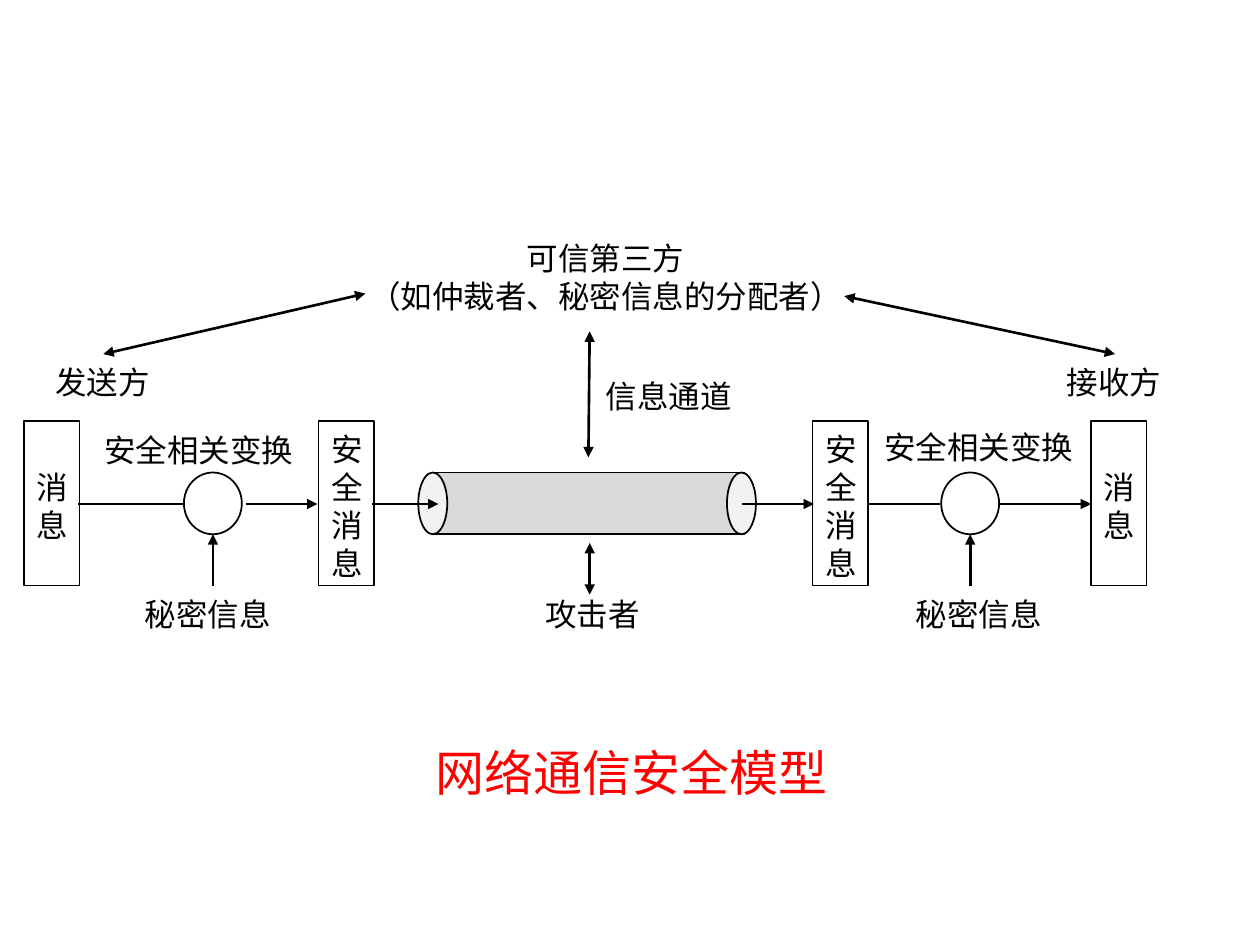
from lxml.etree import SubElement
from pptx import Presentation
from pptx.dml.color import RGBColor
from pptx.enum.shapes import MSO_CONNECTOR, MSO_SHAPE
from pptx.enum.text import MSO_ANCHOR, PP_ALIGN
from pptx.oxml.ns import qn
from pptx.util import Inches, Pt

BLACK = RGBColor(0x00, 0x00, 0x00)
RED = RGBColor(0xFF, 0x00, 0x00)
PIPE_GRAY = RGBColor(0xD9, 0xD9, 0xD9)
PIPE_END_GRAY = RGBColor(0xF2, 0xF2, 0xF2)
CHINESE_FONT = "Noto Sans CJK SC"
LATIN_FONT = "Times New Roman"
FLOW_Y = 4.0
BOX_TOP, BOX_WIDTH, BOX_HEIGHT = 3.34, 0.44, 1.31
CIRCLE_TOP, CIRCLE_WIDTH, CIRCLE_HEIGHT = 3.75, 0.46, 0.49


def write_text(shape, text, size=18, color=BLACK, font=CHINESE_FONT,
               align=PP_ALIGN.LEFT, anchor=MSO_ANCHOR.TOP, wrap=False):
    """Put text into a shape, one paragraph for each line."""
    frame = shape.text_frame
    frame.word_wrap = wrap
    frame.vertical_anchor = anchor
    frame.margin_top, frame.margin_bottom = Inches(0.07), Inches(0.03)
    frame.text = text
    for paragraph in frame.paragraphs:
        paragraph.alignment = align
        paragraph.line_spacing = Pt(size * 1.2)
        for run in paragraph.runs:
            run.font.size = Pt(size)
            run.font.color.rgb = color
            run.font.name = font
            east_asian = SubElement(run.font._element, qn("a:ea"))
            east_asian.set("typeface", CHINESE_FONT)


def add_label(slide, text, left, top, width, height=0.4, **text_format):
    """Add a free-standing label."""
    label = slide.shapes.add_textbox(
        Inches(left), Inches(top), Inches(width), Inches(height))
    write_text(label, text, **text_format)


def add_outline(slide, kind, left, top, width, height, fill=None, weight=1):
    """Add a black-outlined preset shape and return it."""
    shape = slide.shapes.add_shape(
        kind, Inches(left), Inches(top), Inches(width), Inches(height))
    shape.shadow.inherit = False
    if fill is None:
        shape.fill.background()
    else:
        shape.fill.solid()
        shape.fill.fore_color.rgb = fill
    shape.line.color.rgb = BLACK
    shape.line.width = Pt(weight)
    return shape


def add_message_box(slide, text, left):
    """Add a narrow box whose text runs one character to a line."""
    box = add_outline(slide, MSO_SHAPE.RECTANGLE, left, BOX_TOP,
                      BOX_WIDTH, BOX_HEIGHT, weight=0.75)
    write_text(box, text, font=LATIN_FONT, anchor=MSO_ANCHOR.MIDDLE, wrap=True)


def add_line(slide, start, end, arrows=()):
    """Add a line with triangles at the named ends (headEnd, tailEnd)."""
    line = slide.shapes.add_connector(
        MSO_CONNECTOR.STRAIGHT, *(Inches(value) for value in (*start, *end)))
    line.line.color.rgb = BLACK
    line.line.width = Pt(1.5)
    outline = line.line._get_or_add_ln()
    for arrow in arrows:
        SubElement(outline, qn("a:" + arrow)).set("type", "triangle")
    SubElement(line._element.spPr, qn("a:effectLst"))


def add_channel(slide):
    """Draw the information channel as a pipe."""
    pipe = add_outline(slide, MSO_SHAPE.RECTANGLE, 3.45, 3.75, 2.46, 0.49,
                       fill=PIPE_GRAY)
    ends = [
        add_outline(slide, MSO_SHAPE.OVAL, left, 3.75, 0.23, 0.49,
                    fill=PIPE_END_GRAY)
        for left in (5.77, 3.32)
    ]
    slide.shapes.add_group_shape([pipe, *ends])


def add_transformation(slide, circle_left, secret_left, title_left, title_top):
    """Draw a security transformation fed by secret information."""
    add_outline(slide, MSO_SHAPE.OVAL, circle_left, CIRCLE_TOP,
                CIRCLE_WIDTH, CIRCLE_HEIGHT)
    center = circle_left + CIRCLE_WIDTH / 2
    add_line(slide, (center, CIRCLE_TOP + CIRCLE_HEIGHT),
             (center, BOX_TOP + BOX_HEIGHT), arrows=["headEnd"])
    add_label(slide, "秘密信息", secret_left, 4.65, 1.22)
    add_label(slide, "安全相关变换", title_left, title_top, 1.72)


def main():
    """Build the network communication security model."""
    presentation = Presentation()
    presentation.slide_width = Inches(10)
    presentation.slide_height = Inches(7.5)
    slide = presentation.slides.add_slide(presentation.slide_layouts[6])

    add_channel(slide)
    for text, left in (("安全消息", 2.53), ("消息", 0.19),
                       ("安全消息", 6.45), ("消息", 8.66)):
        add_message_box(slide, text, left)
    add_transformation(slide, 1.46, 1.05, 0.73, 3.35)
    add_transformation(slide, 7.47, 7.17, 6.92, 3.33)

    for start, end in ((0.62, 1.46), (6.89, 7.46)):
        add_line(slide, (start, FLOW_Y), (end, FLOW_Y))
    for start, end in ((1.95, 2.52), (2.95, 3.48), (5.89, 6.46), (7.94, 8.66)):
        add_line(slide, (start, FLOW_Y), (end, FLOW_Y), arrows=["tailEnd"])
    for start, end in (((0.82, 2.81), (2.9, 2.33)),
                       ((6.7, 2.35), (8.85, 2.81)),
                       ((4.68, 4.31), (4.68, 4.72)),
                       ((4.68, 2.63), (4.67, 3.63))):
        add_line(slide, start, end, arrows=["headEnd", "tailEnd"])

    add_label(slide, "发送方", 0.34, 2.81, 0.96)
    add_label(slide, "接收方", 8.37, 2.81, 0.96)
    add_label(slide, "可信第三方\n（如仲裁者、秘密信息的分配者）",
              2.75, 1.83, 4.11, 0.71, align=PP_ALIGN.CENTER)
    add_label(slide, "信息通道", 4.71, 2.92, 1.21)
    add_label(slide, "攻击者", 4.23, 4.65, 0.96)
    add_label(slide, "网络通信安全模型", 3.36, 5.82, 3.34, 0.57,
              size=28, color=RED)
    presentation.save("out.pptx")


main()
